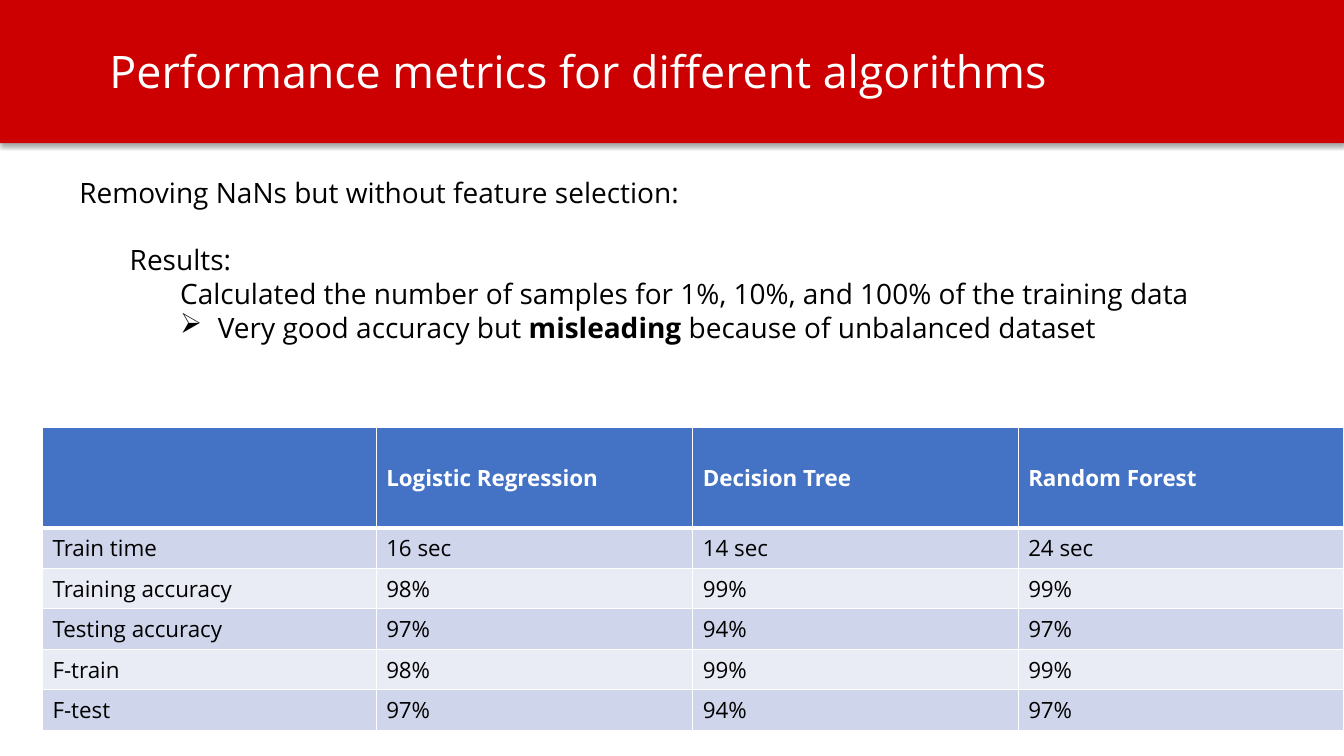
"""Build the slide on performance metrics for different algorithms."""
from lxml.etree import SubElement
from pptx import Presentation
from pptx.dml.color import RGBColor
from pptx.enum.shapes import MSO_SHAPE
from pptx.enum.text import MSO_ANCHOR, MSO_AUTO_SIZE
from pptx.oxml import parse_xml
from pptx.oxml.ns import nsdecls, qn
from pptx.util import Cm, Pt


def paint(color_format, color):
    color_format.rgb = RGBColor.from_string(color)


def add_run(paragraph, text, size, color, bold=False):
    run = paragraph.add_run()
    run.text = text
    run.font.name = "Open Sans"
    run.font.size = Pt(size)
    run.font.bold = bold
    paint(run.font.color, color)


prs = Presentation()
prs.slide_width, prs.slide_height = Cm(33.87), Cm(19.05)
slide = prs.slides.add_slide(prs.slide_layouts[6])

band = slide.shapes.add_shape(MSO_SHAPE.RECTANGLE, 0, 0, prs.slide_width, Cm(3.61))
band.shadow.inherit = False
band.fill.solid()
paint(band.fill.fore_color, "CC0000")
band.line.fill.background()
effects = band._element.spPr.find(qn("a:effectLst"))
effects.append(parse_xml(
    f'<a:outerShdw {nsdecls("a")} blurRad="{Pt(3.1)}" dist="{Pt(1.8)}" dir="5400000" rotWithShape="0">'
    '<a:srgbClr val="000000"><a:alpha val="35000"/></a:srgbClr></a:outerShdw>'))

title = slide.shapes.add_textbox(Cm(2.51), Cm(0.2), Cm(28.83), Cm(3.18)).text_frame
title.word_wrap = True
title.vertical_anchor = MSO_ANCHOR.MIDDLE
add_run(title.paragraphs[0], "Performance metrics for different algorithms", 32, "FFFFFF")

metrics = [
    ["", "Logistic Regression", "Decision Tree", "Random Forest"],
    ["Train time", "16 sec", "14 sec", "24 sec"],
    ["Training accuracy", "98%", "99%", "99%"],
    ["Testing accuracy", "97%", "94%", "97%"],
    ["F-train", "98%", "99%", "99%"],
    ["F-test", "97%", "94%", "97%"],
]
column_widths = [8.41, 7.98, 8.2, 8.2]
table = slide.shapes.add_table(
    len(metrics), len(column_widths), Cm(1.07), Cm(10.78), Cm(32.79), Cm(7.62)).table
for column, width in zip(table.columns, column_widths):
    column.width = Cm(width)
for r, values in enumerate(metrics):
    header = r == 0
    table.rows[r].height = Cm(2.52 if header else 1.02)
    for c, value in enumerate(values):
        cell = table.cell(r, c)
        cell.vertical_anchor = MSO_ANCHOR.MIDDLE if header else MSO_ANCHOR.TOP
        if value:
            add_run(cell.text_frame.paragraphs[0], value, 16,
                    "FFFFFF" if header else "000000", header)
        edges = {"L": 1, "R": 1, "T": 3 if r == 1 else 1, "B": 3 if header else 1}
        for side, width in edges.items():
            edge = SubElement(cell._tc.get_or_add_tcPr(), qn(f"a:ln{side}"), w=str(Pt(width)))
            SubElement(SubElement(edge, qn("a:solidFill")), qn("a:srgbClr"), val="FFFFFF")
        cell.fill.solid()
        paint(cell.fill.fore_color, "4472C4" if header else "CFD5EA" if r % 2 else "E9EBF5")

findings = [
    (0, 0, 0, "", [("Removing NaNs but without feature selection:", False)]),
    (1, 1.27, 0, "", [("Results:", False)]),
    (2, 2.54, 0, "", [
        ("Calculated the number of samples for 1%, 10%, and 100% of the training data", False)]),
    (2, 3.49, -0.95, "➢", [("Very good accuracy but ", False), ("misleading", True),
                           (" because of unbalanced dataset", False)]),
]
line_pitch = Pt(24.1)
summary = slide.shapes.add_textbox(Cm(1.75), Cm(4.29), Cm(30.81), Cm(4.52)).text_frame
summary.word_wrap = True
summary.auto_size = MSO_AUTO_SIZE.SHAPE_TO_FIT_TEXT
for i, (level, margin, indent, bullet, runs) in enumerate(findings):
    paragraph = summary.add_paragraph() if i else summary.paragraphs[0]
    paragraph.level = level
    paragraph.line_spacing = line_pitch
    if level == 1:
        paragraph.space_before = line_pitch
    properties = paragraph._p.get_or_add_pPr()
    properties.set("marL", str(Cm(margin)))
    properties.set("indent", str(Cm(indent)))
    if bullet:
        SubElement(properties, qn("a:buChar"), char=bullet)
    for text, bold in runs:
        add_run(paragraph, text, 20, "000000", bold)

prs.save("out.pptx")
